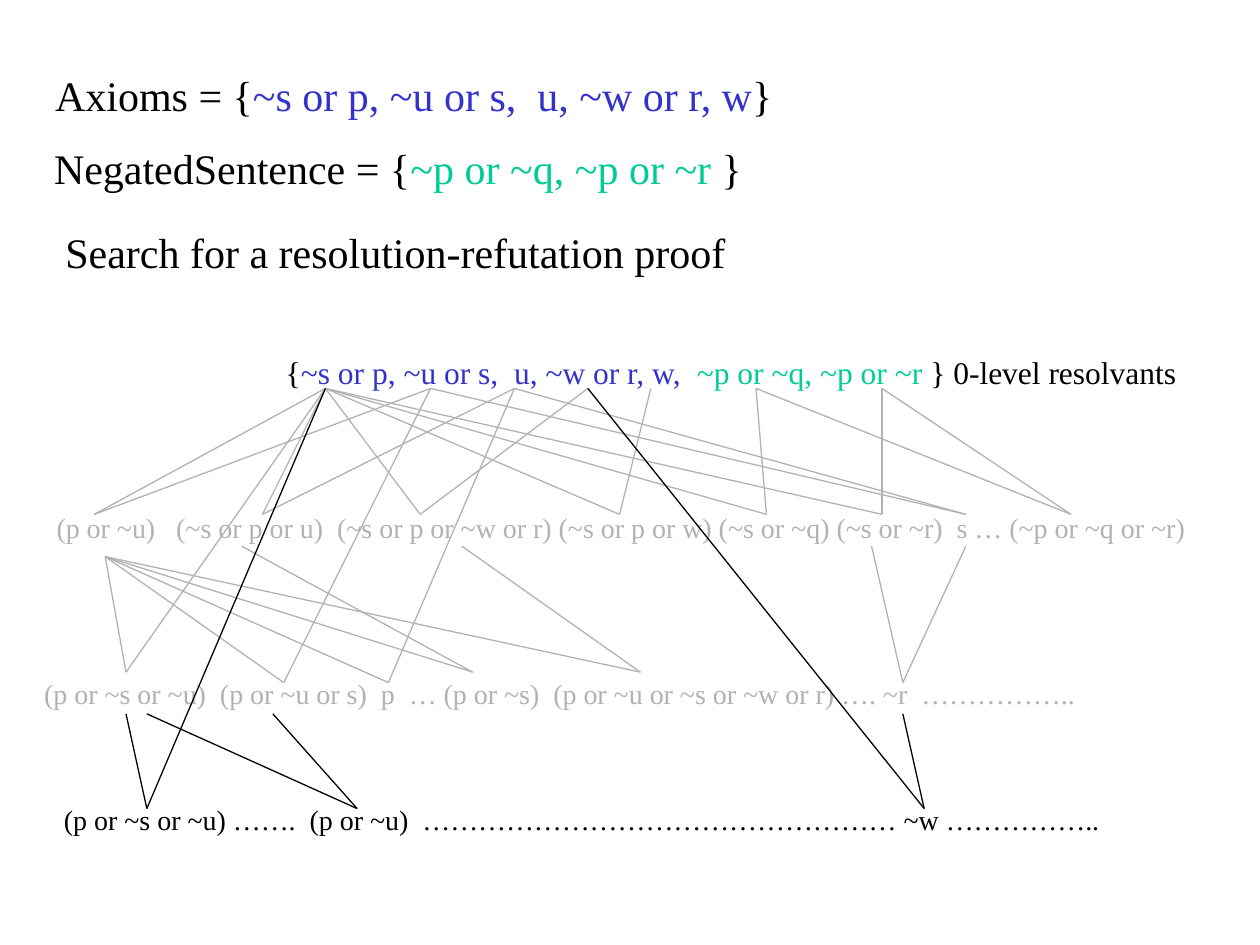
"""Build a slide that shows a resolution-refutation search, level by level."""
from lxml import etree
from pptx import Presentation
from pptx.dml.color import RGBColor
from pptx.enum.shapes import MSO_CONNECTOR, MSO_SHAPE
from pptx.enum.text import MSO_ANCHOR, MSO_AUTO_SIZE, PP_ALIGN
from pptx.oxml.ns import qn
from pptx.util import Cm, Pt

LINE = MSO_CONNECTOR.STRAIGHT
RECT = MSO_SHAPE.RECTANGLE
TOP = MSO_ANCHOR.TOP
GROW = MSO_AUTO_SIZE.SHAPE_TO_FIT_TEXT
LEFT = PP_ALIGN.LEFT
BLACK = RGBColor(0x00, 0x00, 0x00)
WHITE = RGBColor(0xFF, 0xFF, 0xFF)
BLUE = RGBColor(0x33, 0x33, 0xCC)
GREEN = RGBColor(0x00, 0xCC, 0x99)
GREY = RGBColor(0xB2, 0xB2, 0xB2)
FONT = "Times New Roman"


def write(shape, size, parts):
    frame = shape.text_frame
    frame.word_wrap = False
    frame.auto_size = GROW
    frame.vertical_anchor = TOP
    para = frame.paragraphs[0]
    para.alignment = LEFT
    for text, color in parts:
        run = para.add_run()
        run.text = text
        run.font.name = FONT
        run.font.size = Pt(size)
        run.font.color.rgb = color


def link(start, end, color):
    line = slide.shapes.add_connector(LINE, *[Cm(n) for n in start + end])
    line.line.color.rgb = color
    line.line.width = Pt(0.75)
    etree.SubElement(line._element.spPr, qn("a:effectLst"))


deck = Presentation()
deck.slide_width = Cm(25.4)
deck.slide_height = Cm(19.05)
slide = deck.slides.add_slide(deck.slide_layouts[6])

texts = [
    (0.86, 1.27, 14.99, 1.27, 24, [
        ("Axioms = {", BLACK), ("~s or p, ~u or s,  u, ~w or r, w", BLUE), ("}", BLACK)]),
    (0.84, 2.74, 14.38, 1.27, 24, [
        ("NegatedSentence = {", BLACK), ("~p or ~q, ~p or ~r ", GREEN), ("}", BLACK)]),
    (1.07, 4.45, 13.82, 1.27, 24, [("Search for a resolution-refutation proof", BLACK)]),
    (5.51, 6.99, 18.52, 1.02, 18, [
        ("{", BLACK), ("~s or p, ~u or s,  u, ~w or r, w,  ", BLUE),
        ("~p or ~q, ~p or ~r ", GREEN), ("} 0-level resolvants", BLACK)]),
    (0.89, 10.16, 23.27, 0.94, 16, [
        ("(p or ~u)   (~s or p or u)  (~s or p or ~w or r) (~s or p or w) "
         "(~s or ~q) (~s or ~r)  s … (~p or ~q or ~r)", GREY)]),
    (1.04, 16.05, 21.54, 0.94, 16, [
        ("(p or ~s or ~u) …….  (p or ~u)  "
         "…………………………………………… ~w ……………..", BLACK)]),
]
for left, top, width, height, size, parts in texts:
    box = slide.shapes.add_textbox(Cm(left), Cm(top), Cm(width), Cm(height))
    write(box, size, parts)

row = slide.shapes.add_shape(RECT, Cm(0.64), Cm(13.51), Cm(21.44), Cm(0.94))
row.shadow.inherit = False
row.fill.background()
row.line.color.rgb = WHITE
row.line.width = Pt(0.75)
write(row, 16, [
    ("(p or ~s or ~u)  (p or ~u or s)  p  … (p or ~s)  "
     "(p or ~u or ~s or ~w or r) …. ~r  ……………..", GREY)])

base = 7.83
sp, us, u, wr, w, pq, pr = [
    (x, base) for x in (6.56, 8.68, 10.37, 11.85, 13.12, 15.24, 17.78)]
pu = (2.12, 11.22)

first = [
    (1.9, sp, us), (5.29, sp, u), (8.47, sp, wr), (12.49, sp, w),
    (15.45, sp, pq), (17.78, sp, pr), (19.47, us, u), (21.59, pq, pr),
]
second = [
    (18.2, 13.76, (19.47, 11.01), (17.57, 11.01)),
    (2.54, 13.55, pu, sp), (5.72, 13.76, pu, us), (7.83, 13.76, pu, u),
    (9.53, 13.55, pu, (4.87, 11.01)), (12.91, 13.55, pu, (9.31, 11.01)),
]
third = [
    (2.96, (2.54, 14.39), sp),
    (7.2, (2.96, 14.39), (5.5, 14.39)),
    (18.63, wr, (18.2, 14.39)),
]
joins = [(x, 10.37, a, b, GREY) for x, a, b in first]
joins += [(x, y, a, b, GREY) for x, y, a, b in second]
joins += [(x, 16.3, a, b, BLACK) for x, a, b in third]
for x, y, one, two, color in joins:
    for start in (one, two):
        link(start, (x, y), color)

deck.save("out.pptx")
